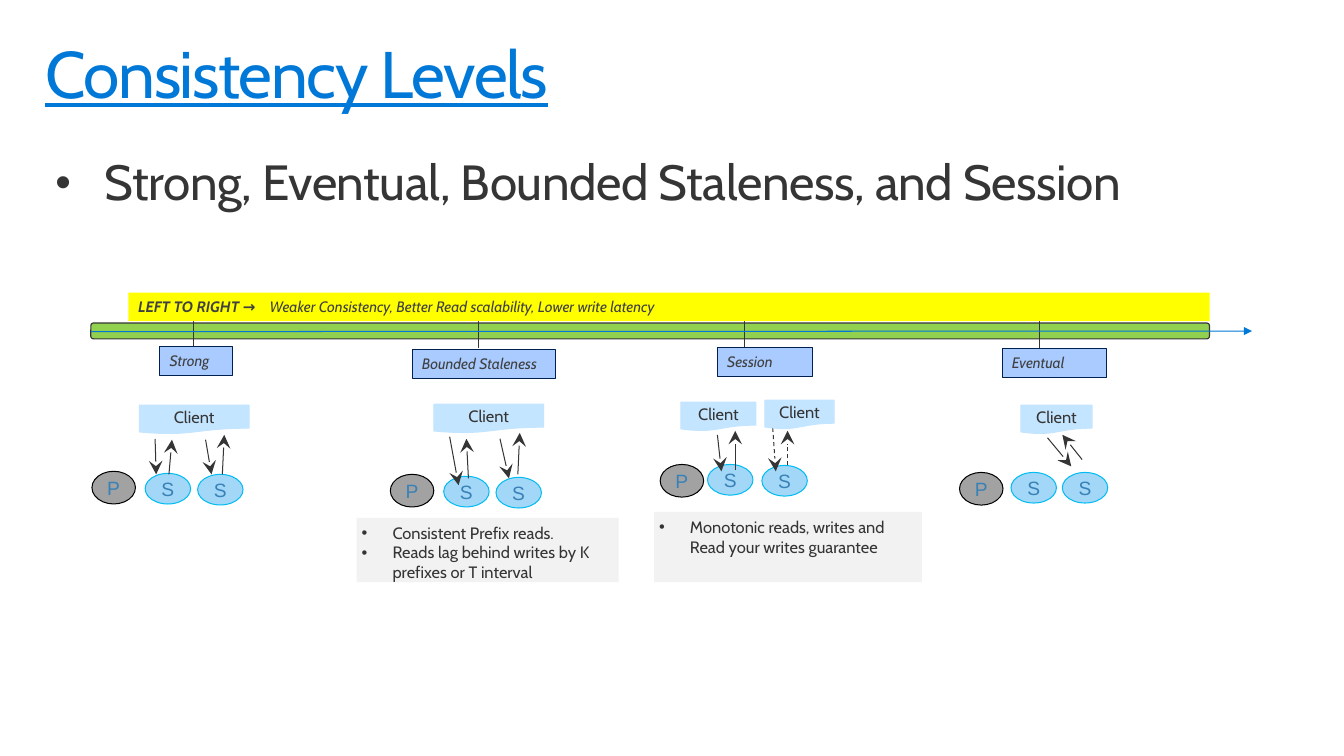
"""Build the slide on consistency levels, from strong to eventual."""
import pptx
import pptx.util
import pptx.dml.color
import pptx.enum.dml
import pptx.enum.shapes
import pptx.enum.text
import pptx.oxml.ns
import lxml.etree

Pt = pptx.util.Pt
RGB = pptx.dml.color.RGBColor
Kind = pptx.enum.shapes.MSO_SHAPE
Align = pptx.enum.text.PP_ALIGN
Anchor = pptx.enum.text.MSO_ANCHOR
Dash = pptx.enum.dml.MSO_LINE

BLUE = RGB(0x00, 0x78, 0xD7)
DARK = RGB(0x35, 0x35, 0x35)
GRAY = RGB(0x40, 0x40, 0x40)
BLACK = RGB(0x00, 0x00, 0x00)
GREEN = RGB(0x92, 0xD0, 0x50)
YELLOW = RGB(0xFF, 0xFF, 0x00)
NAVY = RGB(0x00, 0x20, 0x50)
LABEL = RGB(0xA9, 0xCB, 0xFF)
CLIENT = RGB(0xC4, 0xE5, 0xFF)
STONE = RGB(0xA2, 0xA2, 0xA2)
SKY = RGB(0xA2, 0xD7, 0xF7)
CYAN = RGB(0x00, 0xBC, 0xF2)
STEEL = RGB(0x39, 0x81, 0xB6)
PALE = RGB(0xF2, 0xF2, 0xF2)

LEVELS = [
    ("Strong", (116.6, 252.7, 52.6), (141.1, 228.2)),
    ("Bounded Staleness", (300.2, 254.9, 104.4), (348.5, 228.2)),
    ("Session", (522.7, 253.4, 69.1), (542.2, 230.4)),
    ("Eventual", (730.1, 254.2, 76.3), (757.4, 231.1)),
]

SITES = [
    {"client": [(101.5, 295.2, 79.9)],
     "first": (67, 343.4),
     "second": [(144, 345.6), (105.8, 344.9)],
     "solid": [(123.1, 345.6, 125.3, 320.4), (113, 319.7, 113.8, 345.6),
               (149.8, 320.4, 154.1, 345.6), (162, 345.6, 163.4, 316.8)]},
    {"client": [(316.1, 294.5, 79.9)],
     "first": (284.4, 345.6),
     "second": [(361.4, 347.8), (323.3, 347)],
     "solid": [(341.3, 348.5, 339.8, 319.7), (327.6, 318.2, 334.1, 353.5),
               (364.3, 319.7, 370.8, 348.5), (377.3, 345.6, 378.7, 315.4)]},
    {"client": [(743.8, 295.2, 51.8)],
     "first": (699.1, 344.2),
     "second": [(774, 344.2), (736.6, 344.2)],
     "solid": [(763.2, 319, 780.5, 339.8), (788.4, 334.8, 774, 316.8)]},
    {"client": [(496.1, 293, 54.7), (557.3, 291.6, 50.4)],
     "first": (481, 338.4),
     "second": [(555.1, 339.1), (515.5, 338.4)],
     "solid": [(535.7, 342.7, 535.7, 313.9), (522.7, 316.8, 525.6, 343.4)],
     "dashed": [(563, 311.8, 565.2, 343.4), (573.8, 339.1, 573.8, 313.9)]},
]

NOTES = [
    ((259.9, 377.3, 190.8, 46.8),
     ["Consistent Prefix reads.",
      "Reads lag behind writes by K prefixes or T interval"]),
    ((476.6, 373, 195.1, 51.1),
     ["Monotonic reads, writes and Read your writes guarantee"]),
]


def add(node, tag, **attrs):
    child = lxml.etree.SubElement(node, pptx.oxml.ns.qn(tag))
    for key, value in attrs.items():
        child.set(key, str(value))
    return child


def write(shape, *lines, size=12, font="Cabin", color=DARK, bold=0, italic=False,
          under=False, space=0, align=Align.LEFT, anchor=Anchor.TOP, pad=(7.2, 3.6),
          wrap=True, lead=1, before=0, hang=0, scale=100, tab=0):
    """Fill a shape with lines; a line is a text or a list of runs, the first `bold` runs bold."""
    frame = shape.text_frame
    frame.word_wrap = wrap
    frame.vertical_anchor = anchor
    frame.margin_left = frame.margin_right = Pt(pad[0])
    frame.margin_top = frame.margin_bottom = Pt(pad[1])
    for row, line in enumerate(lines):
        para = frame.add_paragraph() if row else frame.paragraphs[0]
        para.alignment = align
        para.line_spacing = lead
        para.space_before = Pt(before)
        props = para._p.get_or_add_pPr()
        if hang:
            props.set("marL", str(Pt(hang)))
            props.set("indent", str(-Pt(hang)))
            add(props, "a:buSzPct", val=scale * 1000)
            add(props, "a:buFont", typeface="Arial")
            add(props, "a:buChar", char="•")
        if tab:
            add(add(props, "a:tabLst"), "a:tab", pos=Pt(tab), algn="l")
        for place, words in enumerate([line] if isinstance(line, str) else line):
            run = para.add_run()
            run.text = words
            run.font.name = font
            run.font.size = Pt(size)
            run.font.bold = place < bold
            run.font.italic = italic
            run.font.underline = under
            run.font.color.rgb = color
            if space:
                run._r.get_or_add_rPr().set("spc", str(int(space * 100)))


class Board:
    """Hold the style and the current slide."""

    thin = 0.75

    def __init__(self, slide):
        self.shapes = slide.shapes

    def text(self, box, *lines, **style):
        write(self.shapes.add_textbox(*map(Pt, box)), *lines, **style)

    def shape(self, kind, box, fill, edge=None, width=thin):
        shape = self.shapes.add_shape(kind, *map(Pt, box))
        shape.shadow.inherit = False
        shape.fill.solid()
        shape.fill.fore_color.rgb = fill
        if edge is None:
            shape.line.fill.background()
        else:
            shape.line.color.rgb = edge
            shape.line.width = Pt(width)
        return shape

    def line(self, ends, color=DARK, width=thin, head=None, size="lg", dash=None):
        line = self.shapes.add_connector(
            pptx.enum.shapes.MSO_CONNECTOR.STRAIGHT, *map(Pt, ends))
        line.line.color.rgb = color
        line.line.width = Pt(width)
        if dash:
            line.line.dash_style = dash
        if head:
            add(line.line._get_or_add_ln(), "a:tailEnd", type=head, w=size, len=size)
        add(line._element.spPr, "a:effectLst")

    def label(self, name, spot):
        box = self.shape(Kind.RECTANGLE, (*spot, 20.9), LABEL, NAVY)
        write(box, name, size=11, color=GRAY, italic=True)

    def client(self, spot):
        box = self.shape(Kind.FLOWCHART_DOCUMENT, (*spot, 20.9), CLIENT, CLIENT)
        write(box, "Client", align=Align.CENTER, anchor=Anchor.MIDDLE)

    def node(self, name, box, fill, edge):
        write(self.shape(Kind.OVAL, box, fill, edge), name, size=14, font="Arial",
              color=STEEL, align=Align.CENTER, anchor=Anchor.MIDDLE, wrap=False)

    def site(self, client, first, second, solid, dashed=()):
        self.node("P", (*first, 31.7, 23.8), STONE, BLACK)
        for spot in second:
            self.node("S", (*spot, 33.1, 22.3), SKY, CYAN)
        for ends in solid:
            self.line(ends, head="stealth")
        for ends in dashed:
            self.line(ends, head="stealth", dash=Dash.DASH)
        for spot in client:
            self.client(spot)

    def note(self, box, lines):
        write(self.shape(Kind.RECTANGLE, box, PALE), *lines, pad=(3.6, 3.6), hang=22.5)


def main():
    deck = pptx.Presentation()
    deck.slide_width, deck.slide_height = Pt(979.2), Pt(550.8)
    board = Board(deck.slides.add_slide(deck.slide_layouts[6]))

    board.text((21.6, 23, 936, 72), "Consistency Levels", size=48, color=BLUE,
               under=True, space=-1, lead=0.9, pad=(11.5, 7.2))
    board.text((28.8, 108, 921.6, 144.7),
               "Strong, Eventual, Bounded Staleness, and Session", size=36,
               space=-0.3, lead=0.9, before=6, hang=36, scale=90, pad=(11.5, 7.2))

    board.shape(Kind.ROUNDED_RECTANGLE, (66.2, 235.4, 815, 11.5), GREEN, DARK, 0.85)
    for name, spot, (x, y) in LEVELS:
        board.line((x, y, x, y + 25.2), width=0.85)
        board.label(name, spot)
    band = board.shape(Kind.RECTANGLE, (93.6, 213.1, 787.7, 20.9), YELLOW)
    write(band, ["LEFT TO RIGHT →\t",
                 "Weaker Consistency, Better Read scalability, Lower write latency"],
          size=11, color=GRAY, bold=1, italic=True, tab=95.8)
    board.line((66.2, 241.6, 912.2, 241.2), BLUE, head="triangle", size="med")

    for site in SITES:
        board.site(**site)
    for box, lines in NOTES:
        board.note(box, lines)
    deck.save("out.pptx")


if __name__ == "__main__":
    main()
